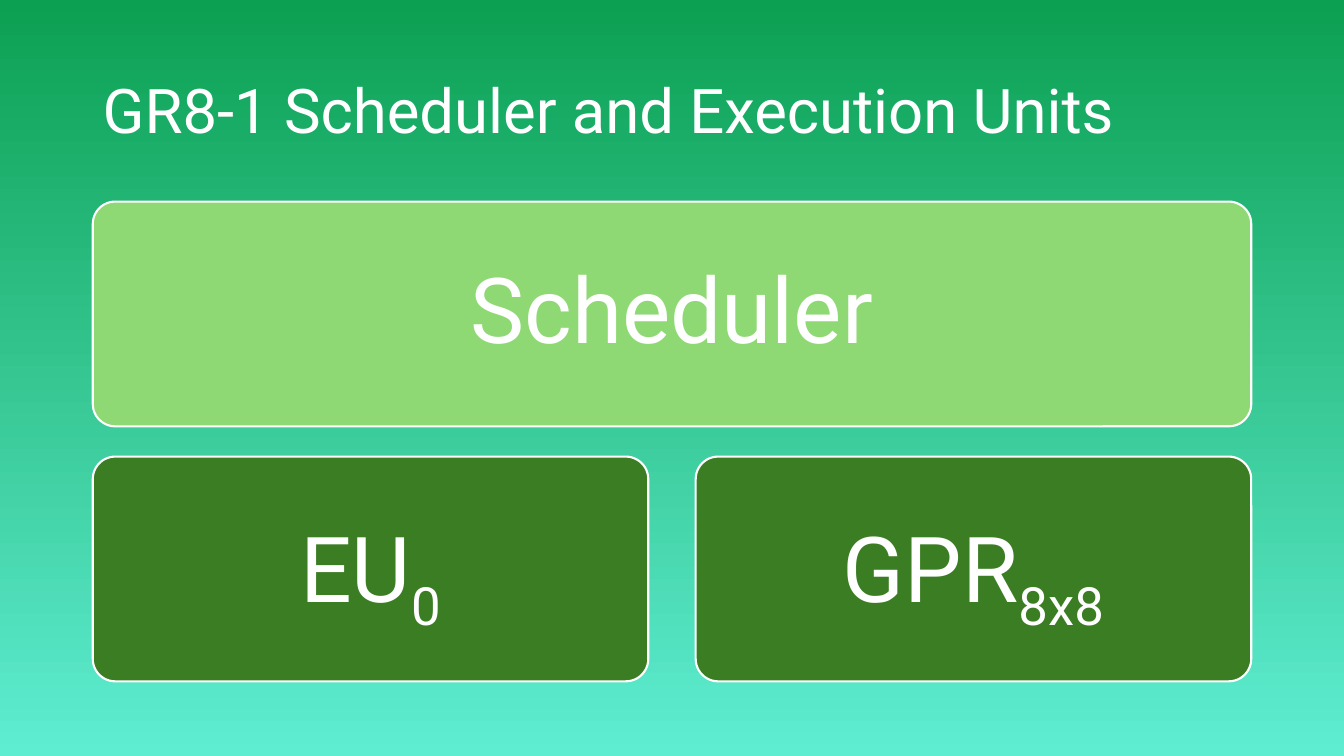
from pptx import Presentation
from pptx.dml.color import RGBColor
from pptx.enum.shapes import MSO_SHAPE as Shape
from pptx.enum.text import MSO_ANCHOR as Anchor, PP_ALIGN as Align
from pptx.util import Inches, Pt

FONT = "Roboto"
WHITE = "FFFFFF"
LIGHT_GREEN = "8ED973"
DARK_GREEN = "3B7D23"
BACKGROUND = ("0CA052", "5FEDD2")


def color(hex_code):
    return RGBColor.from_string(hex_code)


def write(frame, parts, size, align):
    """Write one line; the second part, if any, is a subscript."""
    frame.word_wrap = True
    frame.vertical_anchor = Anchor.MIDDLE
    para = frame.paragraphs[0]
    para.alignment = align
    para.line_spacing = 0.9
    para.text = parts[0]
    for subscript in parts[1:]:
        span = para.add_run()
        span.text = subscript
        span._r.get_or_add_rPr().set("baseline", "-25000")
    for span in para.runs:
        span.font.name = FONT
        span.font.size = Pt(size)
        span.font.color.rgb = color(WHITE)


def paint_background(page):
    fill = page.background.fill
    fill.gradient()
    fill.gradient_angle = 270
    for stop, hex_code in zip(fill.gradient_stops, BACKGROUND):
        stop.color.rgb = color(hex_code)


def add_title(page, left, top, width, height, text):
    box = page.shapes.add_textbox(
        Inches(left), Inches(top), Inches(width), Inches(height))
    write(box.text_frame, [text], 44, Align.LEFT)


def add_block(page, left, top, width, height, parts, fill):
    block = page.shapes.add_shape(
        Shape.ROUNDED_RECTANGLE,
        Inches(left), Inches(top), Inches(width), Inches(height))
    block.adjustments[0] = 0.1
    block.shadow.inherit = False
    block.fill.solid()
    block.fill.fore_color.rgb = color(fill)
    block.line.color.rgb = color(WHITE)
    block.line.width = Pt(1.5)
    write(block.text_frame, parts, 65, Align.CENTER)


def add_block_diagram(page, left, top, width, height):
    """Place the scheduler above a row of equal units."""
    row_gap, column_gap = 0.3, 0.47
    units = [["EU", "0"], ["GPR", "8x8"]]
    row_height = (height - row_gap) / 2
    unit_width = (width - column_gap * (len(units) - 1)) / len(units)
    add_block(page, left, top, width, row_height, ["Scheduler"], LIGHT_GREEN)
    for index, parts in enumerate(units):
        add_block(page, left + index * (unit_width + column_gap),
                  top + row_height + row_gap, unit_width, row_height,
                  parts, DARK_GREEN)


def main():
    deck = Presentation()
    deck.slide_width, deck.slide_height = Inches(13.33), Inches(7.5)
    page = deck.slides.add_slide(deck.slide_layouts[6])
    paint_background(page)
    add_title(page, 0.92, 0.4, 11.5, 1.45,
              "GR8-1 Scheduler and Execution Units")
    add_block_diagram(page, 0.92, 2, 11.49, 4.76)
    deck.save("out.pptx")


if __name__ == "__main__":
    main()
